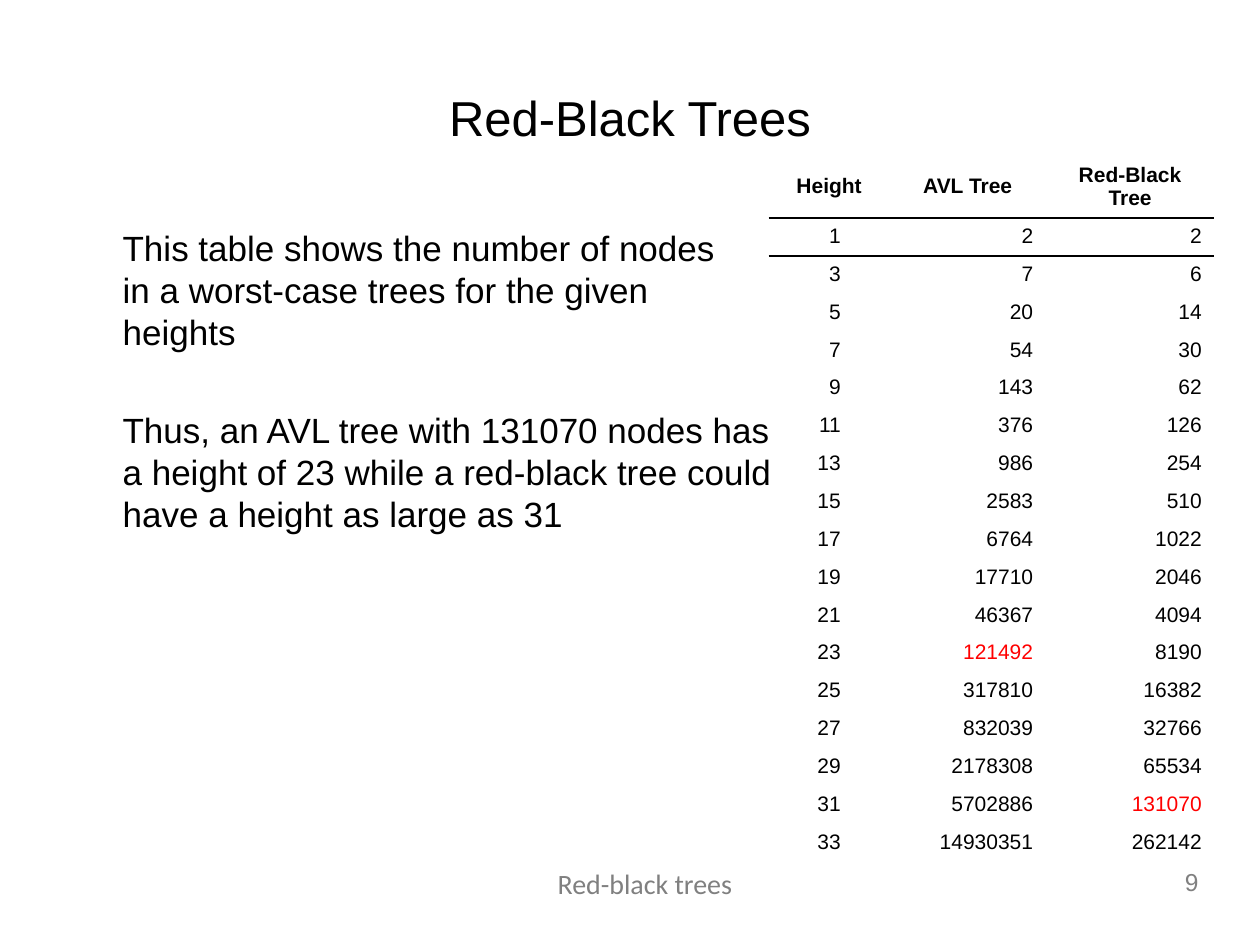
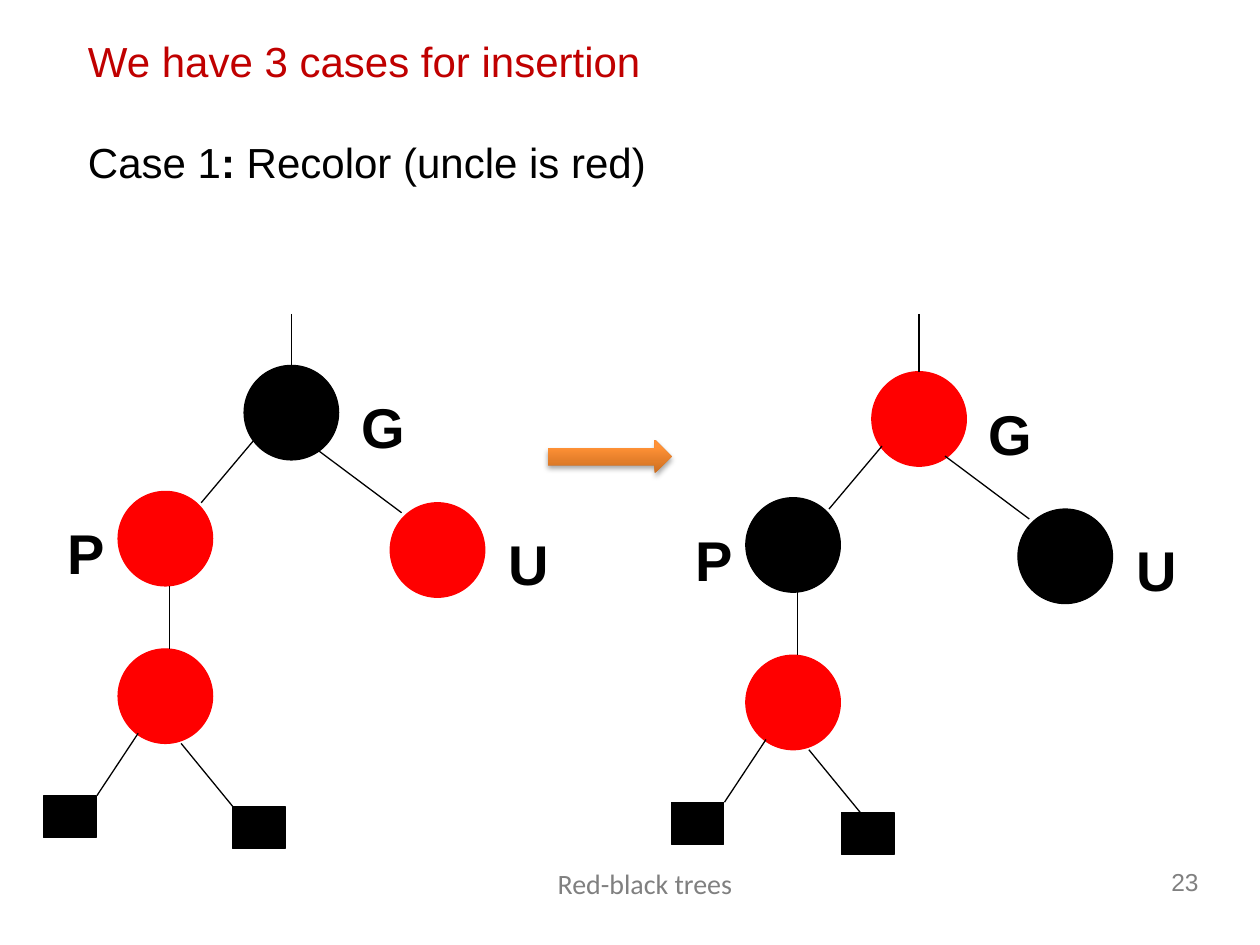
from dataclasses import dataclass

from lxml import etree
from pptx import Presentation
from pptx.dml.color import RGBColor
from pptx.enum import shapes, text
from pptx.oxml import ns
from pptx import util as u

Pt = u.Pt
Align = text.PP_ALIGN
Anchor = text.MSO_ANCHOR
Shape = shapes.MSO_SHAPE


@dataclass(frozen=True)
class Theme:
    black: str = "000000"
    red: str = "FF0000"
    heading_red: str = "C00000"
    gray: str = "808080"
    arrow_dark: str = "CC6E20"
    arrow_light: str = "FF9136"
    font: str = "Arial"
    footer_font: str = "Calibri"
    title_size: int = 28
    heading_size: int = 24
    body_size: int = 20
    table_size: int = 12
    label_size: int = 32
    footer_size: int = 16
    number_size: int = 14
    line_width: float = 0.75


THEME = Theme()
NO_GRID_STYLE = "{2D5ABB26-0587-4C30-8999-92F81FD0307C}"

HEADERS = ["Height", "AVL Tree", "Red-Black Tree"]
AVL_NODES = [2, 7, 20, 54, 143, 376, 986, 2583, 6764, 17710, 46367, 121492,
             317810, 832039, 2178308, 5702886, 14930351]
RED_BLACK_NODES = [2, 6, 14, 30, 62, 126, 254, 510, 1022, 2046, 4094, 8190,
                   16382, 32766, 65534, 131070, 262142]
HIGHLIGHTS = {121492, 131070}

NODE_SIZE = 54
LEAF_SIZE = (30, 24)
STEM_TOP = 179.3
NODES = {"G": (0, 0), "P": (-72, 72), "U": (83.5, 78.5), "new": (-72, 162)}
LABELS = {"P": (-108, 84.2, 30), "G": (59.8, 12.2, 42), "U": (144, 90, 30)}
BRANCHES = [
    (5.8, 42.5, -24.5, 78.5),
    (41.8, 48.2, 90, 84.2),
    (-42.5, 126, -42.5, 162),
    (-60.5, 210.2, -84.2, 246),
    (-36, 216, -6.5, 252),
]


def color(value):
    return RGBColor.from_string(value)


def add_span(para, words, size, tone=THEME.black, bold=False, font=THEME.font):
    span = para.add_run()
    span.text = words
    span.font.name = font
    span.font.size = Pt(size)
    span.font.bold = bold
    span.font.color.rgb = color(tone)


def add_box(page, left, top, width, height, anchor=Anchor.TOP):
    box = page.shapes.add_textbox(Pt(left), Pt(top), Pt(width), Pt(height))
    box.text_frame.word_wrap = True
    box.text_frame.vertical_anchor = anchor
    return box.text_frame


def add_line_of_text(page, bounds, words, size, align=Align.LEFT,
                     anchor=Anchor.TOP, **style):
    para = add_box(page, *bounds, anchor).paragraphs[0]
    para.alignment = align
    add_span(para, words, size, **style)


def add_page(deck, number):
    page = deck.slides.add_slide(deck.slide_layouts[6])
    add_line_of_text(page, (660, 491.8, 32, 24), str(number),
                     THEME.number_size, Align.RIGHT, tone=THEME.gray)
    add_line_of_text(page, (139, 491.8, 459, 29), "Red-black trees",
                     THEME.footer_size, Align.CENTER, tone=THEME.gray,
                     font=THEME.footer_font)
    return page


def add_indented_para(para, lines):
    para._p.get_or_add_pPr().set("marL", str(Pt(27)))
    for index, line in enumerate(lines):
        if index:
            para.add_line_break()
        add_span(para, line, THEME.body_size)


def add_border(cell, side):
    border = etree.Element(ns.qn(f"a:{side}"), w=str(Pt(1)))
    fill = etree.SubElement(border, ns.qn("a:solidFill"))
    etree.SubElement(fill, ns.qn("a:srgbClr"), val=THEME.black)
    cell._tc.get_or_add_tcPr().insert(0, border)


def fill_cell(cell, words, align, **style):
    cell.fill.background()
    para = cell.text_frame.paragraphs[0]
    para.alignment = align
    add_span(para, words, THEME.table_size, **style)


def add_node_table(page):
    rows = [(2 * index + 1, *counts)
            for index, counts in enumerate(zip(AVL_NODES, RED_BLACK_NODES))]
    frame = page.shapes.add_table(len(rows) + 1, len(HEADERS), Pt(439.2),
                                  Pt(88.6), Pt(254.8), Pt(403.2))
    table = frame.table
    table.first_row = table.horz_banding = False
    table._tbl.tblPr.find(ns.qn("a:tableStyleId")).text = NO_GRID_STYLE
    for column, width in zip(table.columns, (69.2, 89.2, 96.4)):
        column.width = Pt(width)
    for index, row in enumerate(table.rows):
        row.height = Pt(21.6 if index else 36)

    for column, header in enumerate(HEADERS):
        cell = table.cell(0, column)
        cell.vertical_anchor = Anchor.MIDDLE
        fill_cell(cell, header, Align.CENTER, bold=True)
        add_border(cell, "lnB")
        add_border(table.cell(1, column), "lnT")
    for index, values in enumerate(rows, 1):
        for column, value in enumerate(values):
            cell = table.cell(index, column)
            tone = THEME.red if value in HIGHLIGHTS else THEME.black
            fill_cell(cell, str(value), Align.RIGHT, tone=tone)
        table.cell(index, 0).margin_right = Pt(28)


def add_solid(page, kind, left, top, width, height, tone):
    solid = page.shapes.add_shape(kind, Pt(left), Pt(top), Pt(width), Pt(height))
    solid.shadow.inherit = False
    solid.fill.solid()
    solid.fill.fore_color.rgb = color(tone)
    solid.line.color.rgb = color(tone)
    solid.line.width = Pt(THEME.line_width)
    return solid


def add_branch(page, *ends):
    branch = page.shapes.add_connector(shapes.MSO_CONNECTOR.STRAIGHT,
                                       *[Pt(end) for end in ends])
    branch.line.color.rgb = color(THEME.black)
    branch.line.width = Pt(THEME.line_width)
    etree.SubElement(branch._element.spPr, ns.qn("a:effectLst"))
    return branch


def add_tree(page, left, top, red_nodes, right_leaf):
    nodes = {}
    for name, (x, y) in NODES.items():
        tone = THEME.red if name in red_nodes else THEME.black
        nodes[name] = add_solid(page, Shape.OVAL, left + x, top + y,
                                NODE_SIZE, NODE_SIZE, tone)
    for x, y in ((-114.5, 246), (right_leaf, 252)):
        add_solid(page, Shape.RECTANGLE, left + x, top + y, *LEAF_SIZE,
                  THEME.black)
    for x1, y1, x2, y2 in BRANCHES:
        add_branch(page, left + x1, top + y1, left + x2, top + y2)
    middle = left + NODE_SIZE / 2
    stem = add_branch(page, middle, STEM_TOP, middle, top)
    stem.end_connect(nodes["G"], 0)
    for name, (x, y, width) in LABELS.items():
        add_line_of_text(page, (left + x, top + y, width, 45), name,
                         THEME.label_size, bold=True)


def add_recolor_arrow(page):
    arrow = page.shapes.add_shape(Shape.RIGHT_ARROW, Pt(313.2), Pt(251.2),
                                  Pt(70.6), Pt(19.4))
    arrow.line.fill.background()
    arrow.fill.gradient()
    arrow.fill.gradient_angle = 90
    stops = zip(arrow.fill.gradient_stops, (0, 0.8),
                (THEME.arrow_dark, THEME.arrow_light))
    for stop, position, tone in stops:
        stop.position = position
        stop.color.rgb = color(tone)
    effects = etree.SubElement(arrow._element.spPr, ns.qn("a:effectLst"))
    shadow = etree.SubElement(effects, ns.qn("a:outerShdw"),
                              blurRad=str(Pt(3.1)), dist=str(Pt(1.8)),
                              dir="5400000", rotWithShape="0")
    tone = etree.SubElement(shadow, ns.qn("a:srgbClr"), val=THEME.black)
    etree.SubElement(tone, ns.qn("a:alpha"), val="35000")


def build_table_page(deck):
    page = add_page(deck, 9)
    body = add_box(page, 36, 126, 648, 356.4)
    add_indented_para(body.paragraphs[0], [
        "This table shows the number of nodes",
        "in a worst-case trees for the given",
        "heights",
    ])
    conclusion = body.add_paragraph()
    conclusion.space_before = Pt(32)
    add_indented_para(conclusion, [
        "Thus, an AVL tree with 131070 nodes has",
        "a height of 23 while a red-black tree could",
        "have a height as large as 31",
    ])
    add_node_table(page)
    add_line_of_text(page, (36, 21.6, 648, 90), "Red-Black Trees",
                     THEME.title_size, Align.CENTER, Anchor.MIDDLE)


def build_recolor_page(deck):
    page = add_page(deck, 23)
    heading = add_box(page, 43.2, 16.6, 576, 116.6)
    add_span(heading.paragraphs[0], "We have 3 cases for insertion",
             THEME.heading_size, THEME.heading_red)
    case = heading.add_paragraph()
    case.space_before = Pt(29)
    for words, bold in (("Case 1", False), (": ", True),
                        ("Recolor (uncle is red)", False)):
        add_span(case, words, THEME.heading_size, bold=bold)
    add_tree(page, 139.5, 208.8, {"P", "U", "new"}, -6.5)
    add_tree(page, 498.2, 212.4, {"G", "new"}, -17.3)
    add_recolor_arrow(page)


def main():
    deck = Presentation()
    deck.slide_width = Pt(720)
    deck.slide_height = Pt(540)
    build_table_page(deck)
    build_recolor_page(deck)
    deck.save("out.pptx")


if __name__ == "__main__":
    main()
